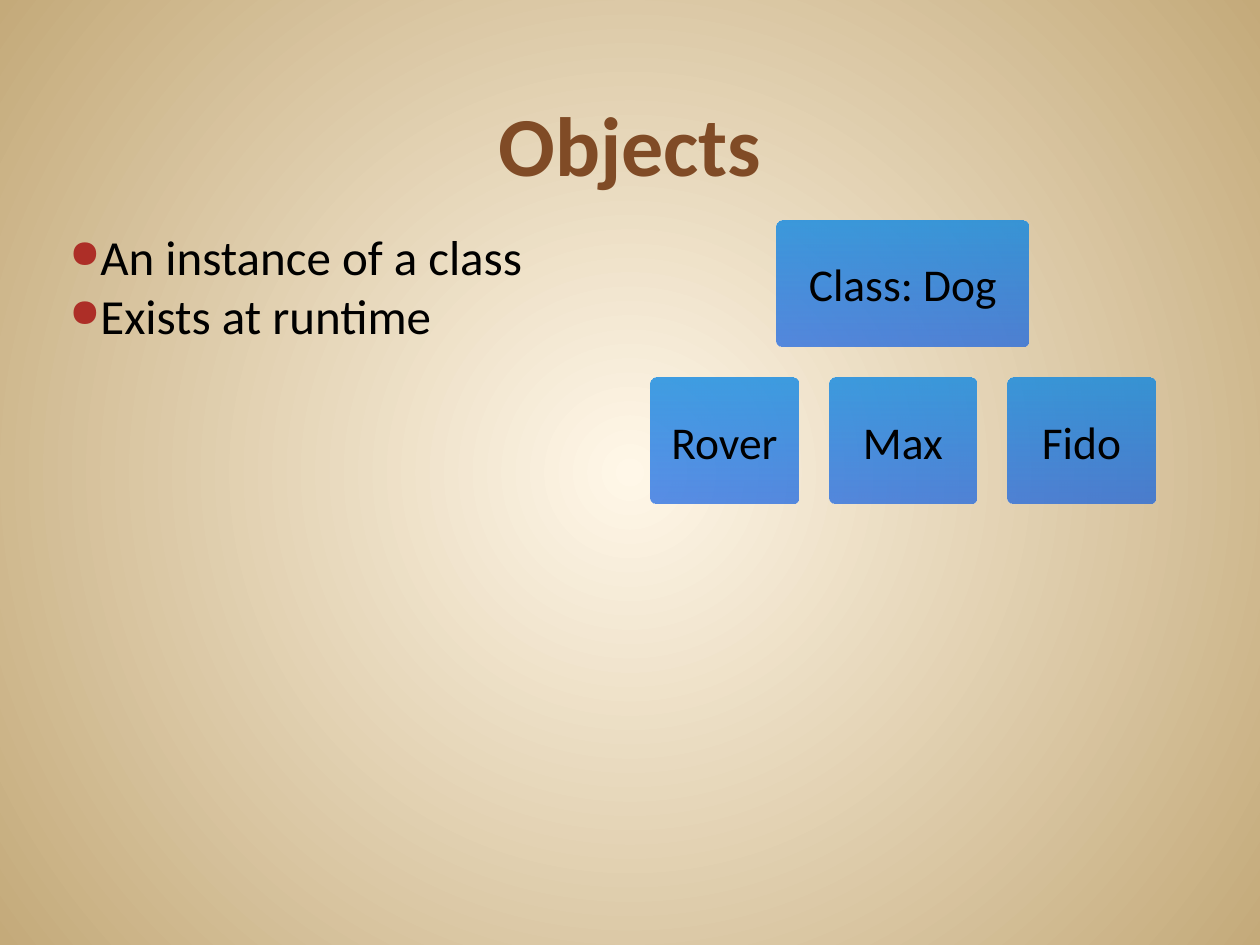
import dataclasses
import typing

import pptx
import pptx.dml.color
import pptx.enum.shapes
import pptx.enum.text
import pptx.oxml
import pptx.oxml.ns
import pptx.util

Pt = pptx.util.Pt
ALIGN = pptx.enum.text.PP_ALIGN
ANCHOR = pptx.enum.text.MSO_ANCHOR

FONT = "Calibri"
BLACK = "000000"
BROWN = "804B26"
BULLET_RED = "AD2E27"


class Stop(typing.NamedTuple):
    position: int
    color: str
    opacity: int = 100


@dataclasses.dataclass
class Box:
    label: str
    left: float
    top: float
    width: float
    height: float = 72


PAPER = [Stop(0, "FFF7E8"), Stop(100, "C4AA7A")]
PAPER_SHAPE = ('<a:path path="circle"><a:fillToRect l="50000" t="50000" '
               'r="50000" b="50000"/></a:path>')
BLUE = [Stop(0, "0082E5", 75), Stop(100, "0057E5", 65)]
BLUE_SHAPE = '<a:lin ang="5400000" scaled="0"/>'


def rgb(color: str) -> pptx.dml.color.RGBColor:
    return pptx.dml.color.RGBColor.from_string(color)


def parse_xml(tag: str, attributes: str, content: str = ""):
    namespace = pptx.oxml.ns.nsdecls("a")
    return pptx.oxml.parse_xml(f"<a:{tag} {namespace} {attributes}>{content}</a:{tag}>")


def set_gradient(fill, owner, stops: list[Stop], geometry: str) -> None:
    """Replace the default gradient of a fill with the given stops."""
    fill.gradient()
    default = owner.xpath(".//a:gradFill")[0]
    stop_xml = "".join(
        f'<a:gs pos="{stop.position * 1000}"><a:srgbClr val="{stop.color}">'
        f'<a:alpha val="{stop.opacity * 1000}"/></a:srgbClr></a:gs>'
        for stop in stops)
    gradient = parse_xml("gradFill", 'rotWithShape="1"',
                         f"<a:gsLst>{stop_xml}</a:gsLst>{geometry}")
    default.getparent().replace(default, gradient)


def add_bullet(paragraph) -> None:
    properties = paragraph._p.get_or_add_pPr()
    properties.set("marL", "0")
    properties.set("indent", str(-Pt(21.6)))
    properties.append(parse_xml("buClr", "", f'<a:srgbClr val="{BULLET_RED}"/>'))
    properties.append(parse_xml("buSzPct", 'val="80000"'))
    properties.append(parse_xml("buChar", 'char="●"'))


def write_text(shape, text: str, *, size: float, color: str = BLACK,
               bold: bool = False, align=ALIGN.LEFT, anchor=ANCHOR.TOP,
               inset: tuple[float, float] = (0, 0), bullets: bool = False) -> None:
    """Fill a shape with one paragraph for each line of the text."""
    frame = shape.text_frame
    frame.word_wrap = True
    frame.vertical_anchor = anchor
    frame.margin_left = frame.margin_right = Pt(inset[0])
    frame.margin_top = frame.margin_bottom = Pt(inset[1])
    frame.text = text
    for paragraph in frame.paragraphs:
        paragraph.alignment = align
        font = paragraph.runs[0].font
        font.name, font.size, font.bold = FONT, Pt(size), bold
        font.color.rgb = rgb(color)
        if bullets:
            add_bullet(paragraph)


def draw_box(slide, box: Box) -> None:
    shape = slide.shapes.add_shape(
        pptx.enum.shapes.MSO_SHAPE.ROUNDED_RECTANGLE,
        Pt(box.left), Pt(box.top), Pt(box.width), Pt(box.height))
    shape.adjustments[0] = 0.044
    shape.shadow.inherit = False
    set_gradient(shape.fill, shape.element, BLUE, BLUE_SHAPE)
    shape.line.fill.background()
    write_text(shape, box.label, size=26, align=ALIGN.CENTER, anchor=ANCHOR.MIDDLE)


def main() -> None:
    presentation = pptx.Presentation()
    presentation.slide_width, presentation.slide_height = Pt(720), Pt(540)
    slide = presentation.slides.add_slide(presentation.slide_layouts[6])
    set_gradient(slide.background.fill, slide.element, PAPER, PAPER_SHAPE)

    # Title
    title = slide.shapes.add_textbox(Pt(36), Pt(24), Pt(648), Pt(90))
    write_text(title, "Objects", size=48, color=BROWN, bold=True,
               align=ALIGN.CENTER, anchor=ANCHOR.BOTTOM, inset=(7.2, 3.6))

    # Definition of an object
    definition = slide.shapes.add_textbox(Pt(36), Pt(126), Pt(366), Pt(356.4))
    write_text(definition, "An instance of a class\nExists at runtime",
               size=28, inset=(3.6, 3.6), bullets=True)

    # Class above its instances
    draw_box(slide, Box("Class: Dog", 444, 126, 144))
    first_left, pitch = 372, 102
    for column, dog in enumerate(["Rover", "Max", "Fido"]):
        draw_box(slide, Box(dog, first_left + column * pitch, 216, 84))

    presentation.save("out.pptx")


if __name__ == "__main__":
    main()
